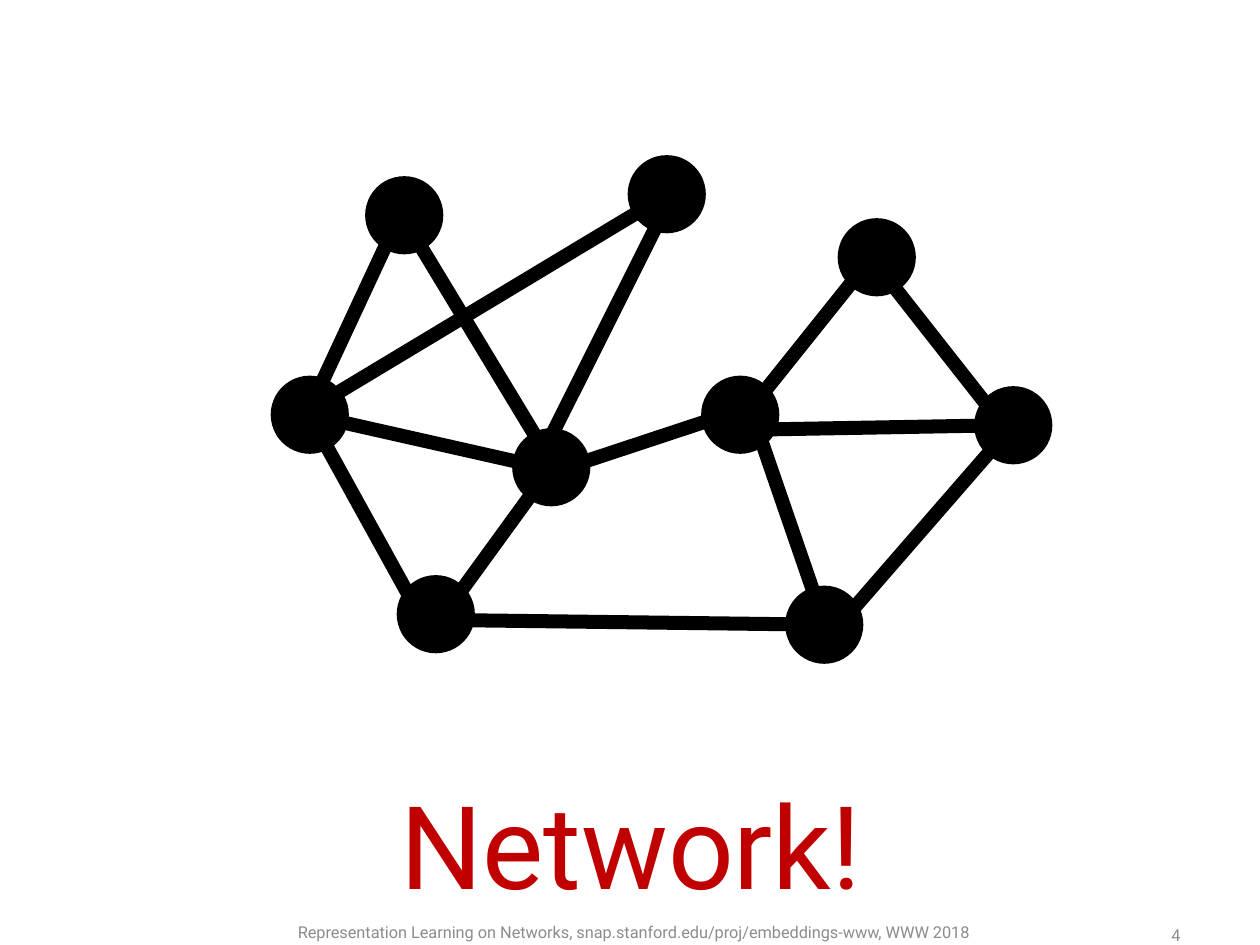
"""Build a slide that shows a nine-node network with its caption and footer."""
from pptx import Presentation
from pptx.dml.color import RGBColor
from pptx.enum.shapes import MSO_CONNECTOR, MSO_SHAPE
from pptx.enum.text import MSO_ANCHOR, MSO_AUTO_SIZE, PP_ALIGN
from pptx.oxml.ns import qn
from pptx.util import Pt
from lxml.etree import SubElement

BLACK = RGBColor(0, 0, 0)
RED = RGBColor(0xC0, 0, 0)
GRAY = RGBColor(0x8C, 0x8C, 0x8C)
FONT = "Roboto"

TITLE = ("Network!", (83.5, 328.3, 373.7, 67), 49.5, RED, PP_ALIGN.CENTER)
FOOTERS = [
    ("4", (387, 396, 126, 9.4), 7, GRAY, PP_ALIGN.RIGHT),
    ("Representation Learning on Networks, snap.stanford.edu/proj/embeddings-www, WWW 2018",
     (85.5, 395.3, 372.2, 8.6), 7, GRAY, PP_ALIGN.CENTER),
]

NODE_SIZE = 31.5
NODE_CORNERS = [
    (157.5, 76.5), (270, 67.5), (220.5, 184.5),
    (301.5, 162), (171, 247.5), (360, 94.5),
    (337.5, 252), (418.5, 166.5), (117, 162),
]
EDGES = [
    ((173.5, 94.3), (236.2, 198)),
    ((317.5, 175.7), (243.4, 200.2)),
    ((368.6, 104.4), (434.2, 187.9)),
    ((373.7, 110.2), (316.1, 182.2)),
    ((434.2, 182.2), (315.4, 184.3)),
    ((353.5, 267.8), (324, 182.2)),
    ((357.8, 270), (434.2, 182.2)),
    ((231.8, 195.8), (288, 83.5)),
    ((231.8, 200.2), (132.5, 177.8)),
    ((285.8, 83.5), (132.5, 175.7)),
    ((171.4, 92.2), (132.5, 175.7)),
    ((236.2, 200.2), (188.6, 265.7)),
    ((132.5, 177.8), (182.2, 267.8)),
    ((188.6, 265.7), (357.8, 267.8)),
]


def write_text(shape, text, size, color, alignment, anchor):
    """Fill a shape with one formatted line of text."""
    frame = shape.text_frame
    frame.word_wrap = True
    frame.auto_size = MSO_AUTO_SIZE.NONE
    frame.vertical_anchor = anchor
    frame.margin_left = frame.margin_right = Pt(7.2)
    paragraph = frame.paragraphs[0]
    paragraph.alignment = alignment
    run = paragraph.add_run()
    run.text = text
    run.font.name = FONT
    run.font.size = Pt(size)
    run.font.color.rgb = color


def add_title(slide):
    """Place the caption in the title placeholder."""
    text, box, size, color, alignment = TITLE
    title = slide.shapes.title
    title.left, title.top, title.width, title.height = map(Pt, box)
    write_text(title, text, size, color, alignment, MSO_ANCHOR.TOP)


def add_edge(slide, start, end):
    """Draw one thick network edge."""
    edge = slide.shapes.add_connector(MSO_CONNECTOR.STRAIGHT, *map(Pt, start + end))
    edge.line.color.rgb = BLACK
    edge.line.width = Pt(6)
    SubElement(edge.element.spPr, qn("a:effectLst"))


def add_node(slide, left, top):
    """Draw one round network node."""
    node = slide.shapes.add_shape(
        MSO_SHAPE.OVAL, Pt(left), Pt(top), Pt(NODE_SIZE), Pt(NODE_SIZE))
    node.shadow.inherit = False
    node.fill.solid()
    node.fill.fore_color.rgb = BLACK
    node.line.color.rgb = BLACK
    node.line.width = Pt(2)


def add_footer(slide, text, box, size, color, alignment):
    """Place one small footer line."""
    footer = slide.shapes.add_textbox(*map(Pt, box))
    footer.text_frame.margin_top = footer.text_frame.margin_bottom = 0
    write_text(footer, text, size, color, alignment, MSO_ANCHOR.MIDDLE)


def main():
    """Assemble and save the slide."""
    presentation = Presentation()
    presentation.slide_width, presentation.slide_height = Pt(540), Pt(405)
    slide = presentation.slides.add_slide(presentation.slide_layouts[5])
    add_title(slide)
    for start, end in EDGES:
        add_edge(slide, start, end)
    for left, top in NODE_CORNERS:
        add_node(slide, left, top)
    for footer in FOOTERS:
        add_footer(slide, *footer)
    presentation.save("out.pptx")


if __name__ == "__main__":
    main()
